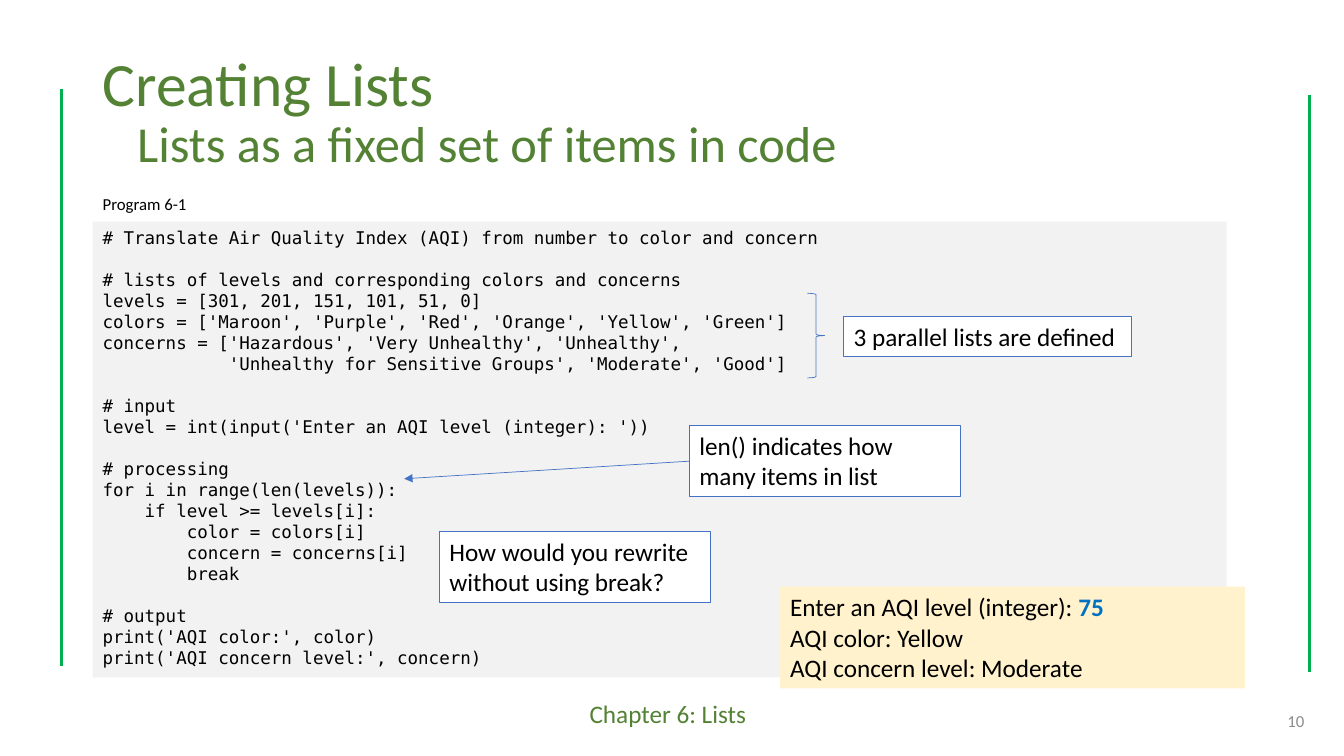
from lxml import etree
from pptx import Presentation, util as u
from pptx.dml.color import RGBColor
from pptx.enum import shapes, text
from pptx.oxml.ns import qn

INK = {"green": "548235", "rail": "00B050", "gray": "8C8C8C", "black": "000000",
       "code": "F2F2F2", "cream": "FFF2CC", "white": "FFFFFF", "blue": "4472C4",
       "input": "0070C0"}
HUE = {name: RGBColor.from_string(code) for name, code in INK.items()}
CODE = """# Translate Air Quality Index (AQI) from number to color and concern

# lists of levels and corresponding colors and concerns
levels = [301, 201, 151, 101, 51, 0]
colors = ['Maroon', 'Purple', 'Red', 'Orange', 'Yellow', 'Green']
concerns = ['Hazardous', 'Very Unhealthy', 'Unhealthy',
            'Unhealthy for Sensitive Groups', 'Moderate', 'Good']

# input
level = int(input('Enter an AQI level (integer): '))

# processing
for i in range(len(levels)):
    if level >= levels[i]:
        color = colors[i]
        concern = concerns[i]
        break

# output
print('AQI color:', color)
print('AQI concern level:', concern)"""

deck = Presentation()
deck.slide_width, deck.slide_height = u.Inches(13.333), u.Inches(7.5)
slide = deck.slides.add_slide(deck.slide_layouts[5])
pool = slide.shapes


def scale(*spots):
    sides = deck.slide_width, deck.slide_height
    return [round(spot / 100 * sides[i % 2]) for i, spot in enumerate(spots)]


def write(shape, words, size, hue="black", face="Calibri", gap=0, anchor="TOP", align="LEFT"):
    frame = shape.text_frame
    look = {"word_wrap": True, "auto_size": text.MSO_AUTO_SIZE.NONE,
            "vertical_anchor": text.MSO_ANCHOR[anchor]}
    for key, val in look.items():
        setattr(frame, key, val)
    first = True
    for block in words.split("\n\n"):
        for row, line in enumerate(block.split("\n")):
            para = frame.paragraphs[0] if first else frame.add_paragraph()
            para.alignment = text.PP_ALIGN[align]
            para.space_before = u.Pt(0 if first or row else gap)
            run = para.add_run()
            run.text = line
            for key, val in {"name": face, "size": u.Pt(size), "bold": False}.items():
                setattr(run.font, key, val)
            run.font.color.rgb = HUE[hue]
            first = False
    return frame


title = pool.title
for key, val in zip(("left", "top", "width", "height"), scale(6.9, 5.33, 86.25, 19.33)):
    setattr(title, key, val)
head = write(title, "Creating Lists\nLists as a fixed set of items in code", 44, "green", anchor="MIDDLE")
for para in head.paragraphs:
    para.line_spacing = 0.9
para.runs[0].font.size = u.Pt(36)
para._p.get_or_add_pPr().set("marL", str(u.Inches(0.34)))

labels = [
    ((43.13, 91.73, 13.35, 5.33), "Chapter 6: Lists", 18, {"hue": "green"}),
    ((75.3, 92.67, 22.5, 5.33), "10", 12, {"hue": "gray", "anchor": "MIDDLE", "align": "RIGHT"}),
    ((6.9, 24.93, 15.23, 4), "Program 6-1", 12, {}),
]
for area, words, size, look in labels:
    write(pool.add_textbox(*scale(*area)), words, size, **look)

panels = [
    ((6.9, 29.33, 84.38, 60.27), "code", None, CODE, 12.5, {"face": "DejaVu Sans Mono", "gap": 15}),
    ((58.05, 77.6, 34.58, 13.47), "cream", None,
     "Enter an AQI level (integer): \nAQI color: Yellow\nAQI concern level: Moderate", 18, {}),
    ((62.78, 41.87, 21.38, 5.33), "white", "blue", "3 parallel lists are defined", 18, {}),
    ((32.7, 70.27, 20.18, 9.47), "white", "blue", "How would you rewrite without using break?", 18, {}),
    ((51.3, 56.27, 20.18, 9.47), "white", "blue", "len() indicates how many items in list", 18, {}),
]
made = []
for area, fill, edge, words, size, look in panels:
    panel = pool.add_shape(shapes.MSO_SHAPE.RECTANGLE, *scale(*area))
    panel.shadow.inherit = False
    panel.fill.solid()
    panel.fill.fore_color.rgb = HUE[fill]
    if edge:
        panel.line.color.rgb = HUE[edge]
        panel.line.width = u.Pt(0.75)
    else:
        panel.line.fill.background()
    write(panel, words, size, **look)
    made.append(panel)
code, result, lists, rewrite, count = made

reply = result.text_frame.paragraphs[0].add_run()
reply.text = "75"
for key, val in {"name": "Calibri", "size": u.Pt(18), "bold": True}.items():
    setattr(reply.font, key, val)
reply.font.color.rgb = HUE["input"]

brace = pool.add_shape(shapes.MSO_SHAPE.RIGHT_BRACE, *scale(60.08, 38.8, 1.28, 11.2))
brace.shadow.inherit = False
brace.fill.background()
brace.line.color.rgb = HUE["blue"]
brace.line.width = u.Pt(0.5)

lines = [
    ((4.58, 11.73, 4.58, 88.13), "rail", 2.25),
    ((97.43, 12.53, 97.43, 88.93), "rail", 2.25),
    ((51.3, 61, 30.08, 63.33), "blue", 0.5),
]
for ends, hue, width in lines:
    link = pool.add_connector(shapes.MSO_CONNECTOR.STRAIGHT, *scale(*ends))
    link.line.color.rgb = HUE[hue]
    link.line.width = u.Pt(width)
    etree.SubElement(link._element.spPr, qn("a:effectLst"))
link.begin_connect(count, 1)
etree.SubElement(link.line._get_or_add_ln(), qn("a:tailEnd"), type="triangle")

deck.save("out.pptx")
